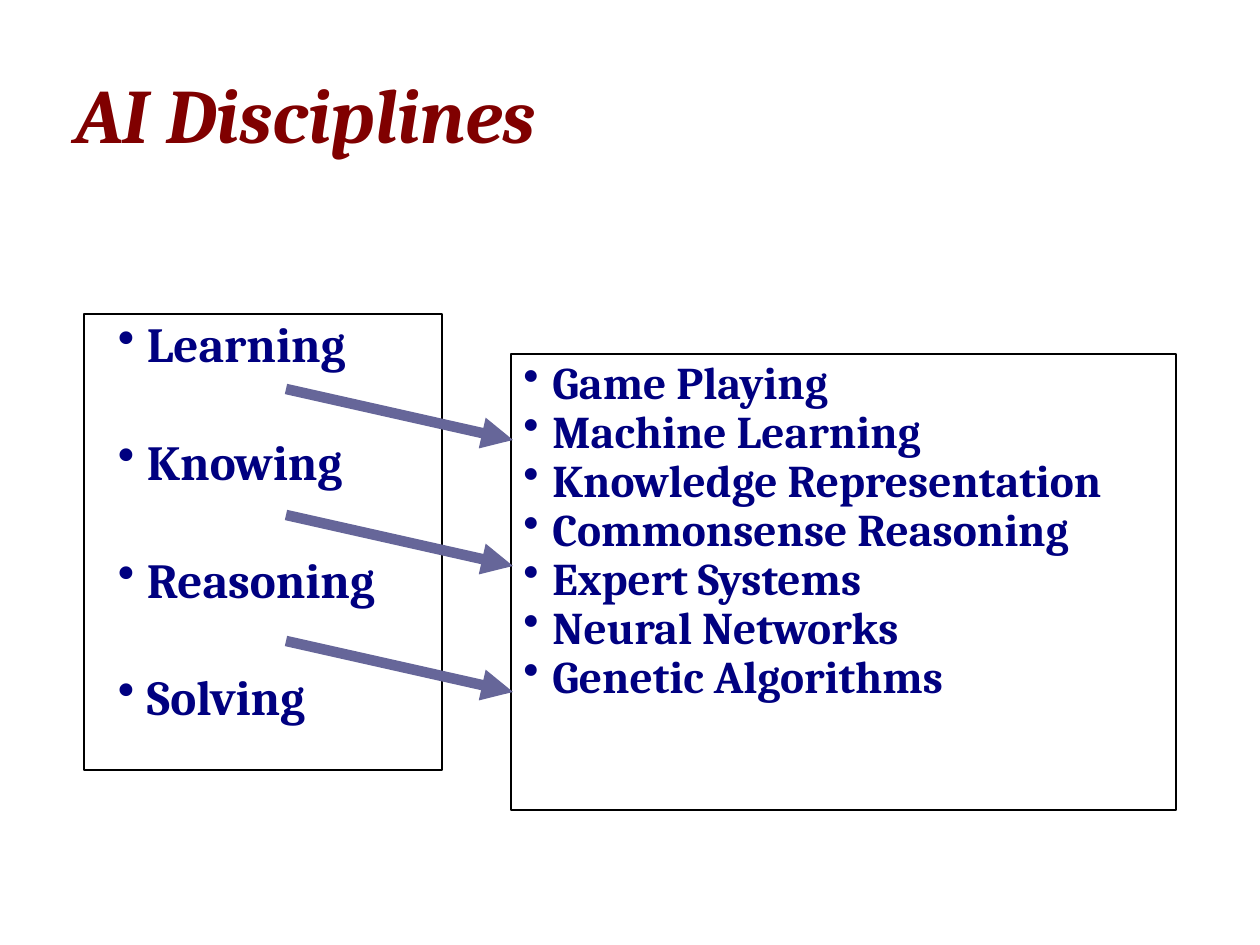
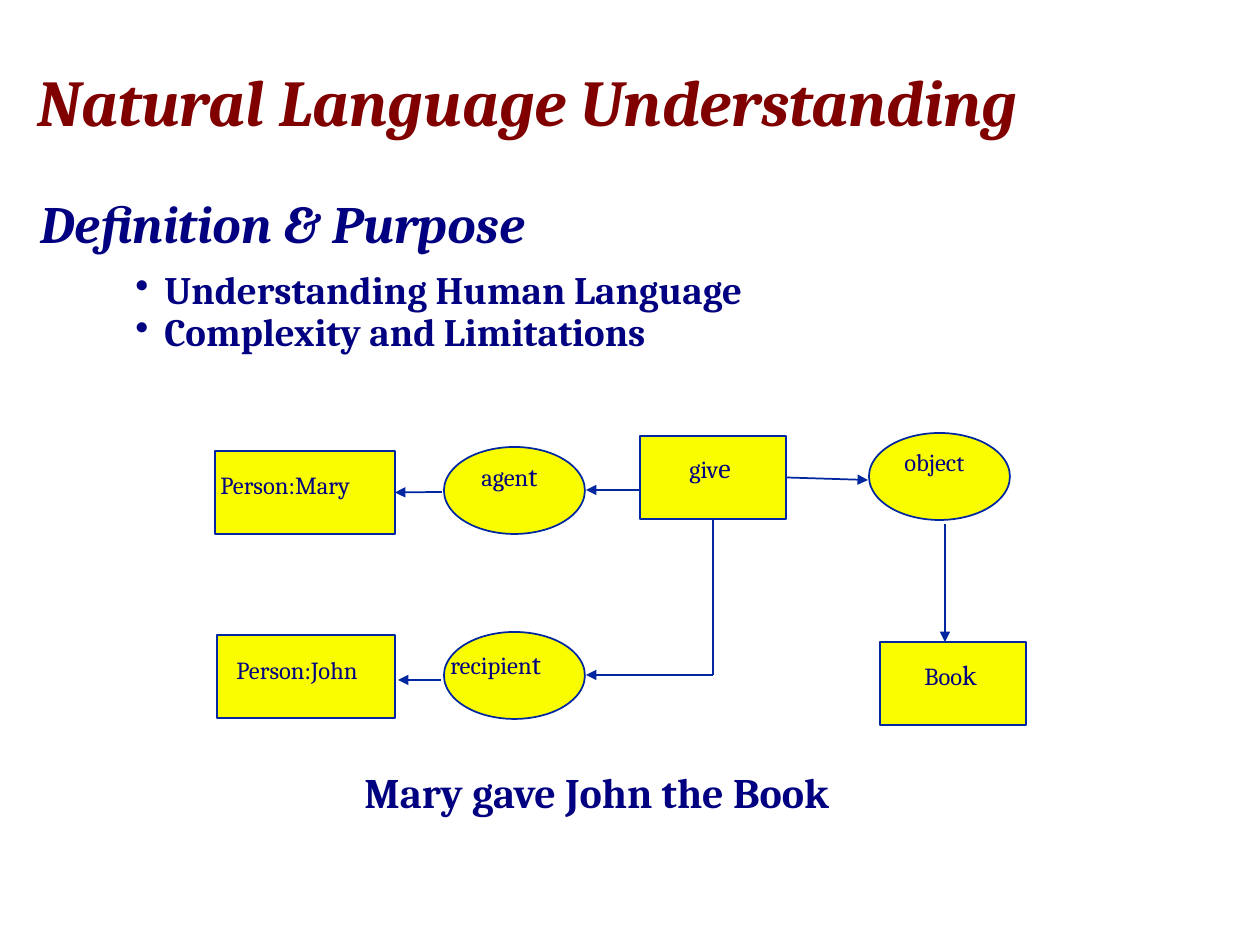
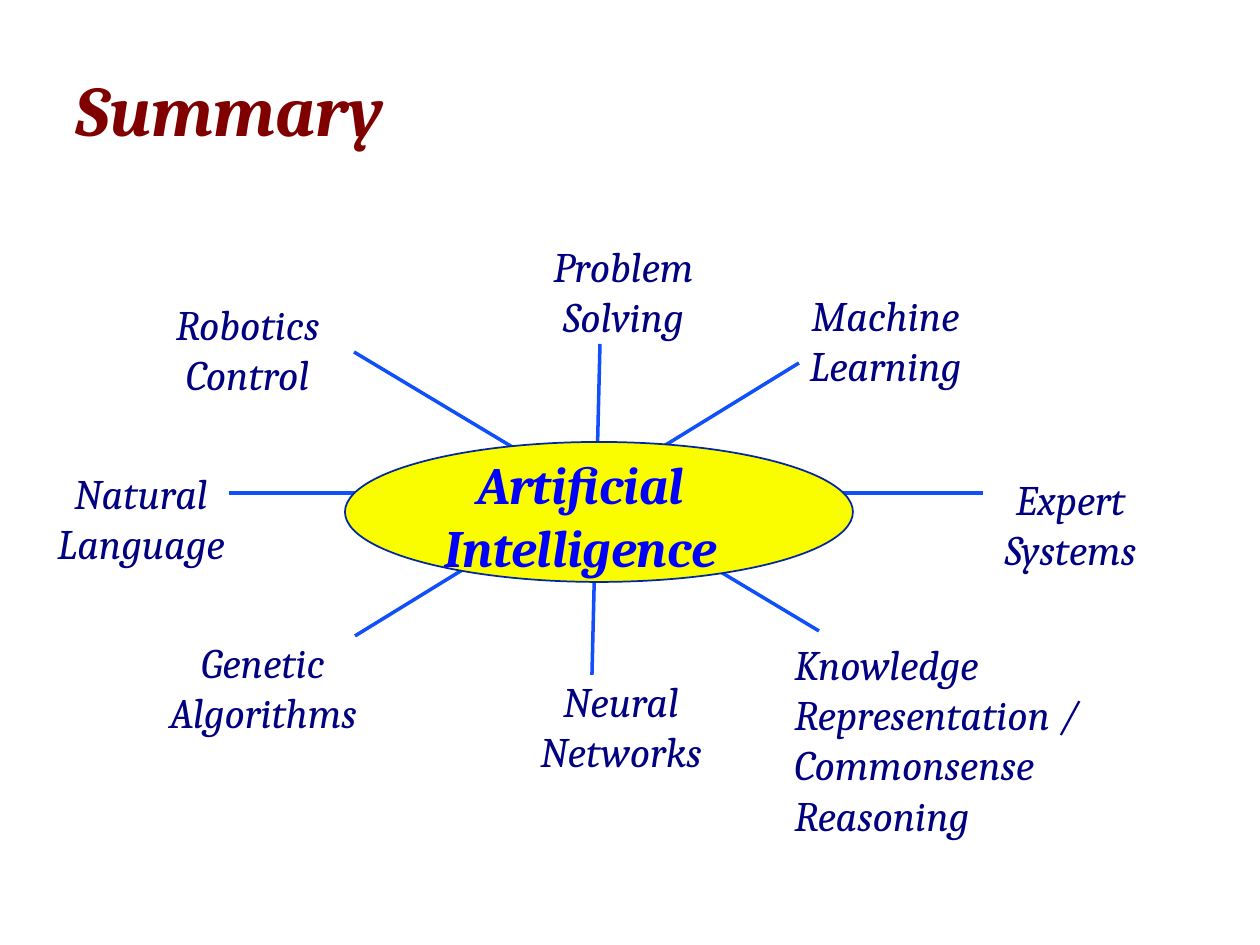
from lxml.etree import SubElement
from pptx import Presentation
from pptx.dml.color import RGBColor
from pptx.enum.shapes import MSO_CONNECTOR, MSO_SHAPE
from pptx.enum.text import MSO_ANCHOR as ANCHOR, MSO_AUTO_SIZE, PP_ALIGN as ALIGN
from pptx.oxml.ns import qn
from pptx.util import Inches, Pt

PX = 7257  # EMU per px, 126 px to the inch
FONT = "Cambria"
MAROON, NAVY, BLUE = "800000", "000080", "0000FF"
YELLOW, NODE_LINE, SPOKE = "FAFD00", "00279F", "114FFB"
HANG = 29
STRAIGHT = MSO_CONNECTOR.STRAIGHT
RECT, OVAL = MSO_SHAPE.RECTANGLE, MSO_SHAPE.OVAL


def write(s, lines, sizes, color=NAVY, bold=False, italic=False, align=ALIGN.LEFT,
          anchor=ANCHOR.TOP, leading=1.0, gap=0, bullet_left=None):
    """Fill s with paragraphs; a line is a string or a tuple of runs, one size each."""
    tf = s.text_frame
    tf.word_wrap = True
    tf.auto_size = MSO_AUTO_SIZE.NONE
    tf.vertical_anchor = anchor
    for i, line in enumerate(lines):
        p = tf.add_paragraph() if i else tf.paragraphs[0]
        p.alignment = align
        p.line_spacing = leading
        p.space_before = Pt(gap if i else 0)
        if bullet_left is not None:
            pPr = p._p.get_or_add_pPr()
            pPr.set("marL", str(bullet_left * PX))
            pPr.set("indent", str(-HANG * PX))
            SubElement(SubElement(pPr, qn("a:buClr")), qn("a:srgbClr"), val=color)
            SubElement(pPr, qn("a:buChar"), char="•")
        runs = (line,) if isinstance(line, str) else line
        for text, size in zip(runs, sizes):
            r = p.add_run()
            r.text = text
            r.font.name, r.font.size = FONT, Pt(size)
            r.font.bold, r.font.italic = bold, italic
            r.font.color.rgb = RGBColor.from_string(color)


def draw(s, color, width, fill=None, arrow=False):
    """Set the line of a shape or connector, and the fill of a shape, without shadow."""
    s.line.color.rgb = RGBColor.from_string(color)
    s.line.width = Pt(width)
    if fill:
        s.fill.solid()
        s.fill.fore_color.rgb = RGBColor.from_string(fill)
        s.shadow.inherit = False
    else:
        SubElement(s._element.spPr, qn("a:effectLst"))
    if arrow:
        SubElement(s.line._get_or_add_ln(), qn("a:tailEnd"), type="triangle")


prs = Presentation()
prs.slide_width, prs.slide_height = Inches(10), Inches(7.5)

# Slides and their titles
titles = [
    ("AI Disciplines", (63, 34, 1134, 158), 44, 1.0),
    ("Natural Language Understanding", (25, 26, 1197, 158), 37.4, 0.9),
    ("Summary", (63, 34, 388, 158), 40.7, 0.9),
]
canvases = []
for text, box, size, leading in titles:
    slide = prs.slides.add_slide(prs.slide_layouts[5])
    title = slide.shapes.title
    title.left, title.top, title.width, title.height = [v * PX for v in box]
    write(title, [text], [size], MAROON, bold=True, italic=True,
          anchor=ANCHOR.MIDDLE, leading=leading)
    canvases.append(slide.shapes)
disciplines, language, summary = canvases

# Slide 1: abilities lead to disciplines
abilities = disciplines.add_shape(RECT, *[v * PX for v in (84, 314, 358, 456)])
fields = disciplines.add_shape(RECT, *[v * PX for v in (511, 354, 665, 456)])
for s in (abilities, fields):
    draw(s, "000000", 0.75, "FFFFFF")
tf = abilities.text_frame
tf.margin_left = tf.margin_top = tf.margin_right = tf.margin_bottom = 0
write(abilities, ["Learning", "Knowing", "Reasoning", "Solving"], [28],
      bold=True, gap=33.6, bullet_left=63)
write(fields, ["Game Playing", "Machine Learning", "Knowledge Representation",
               "Commonsense Reasoning", "Expert Systems", "Neural Networks",
               "Genetic Algorithms"], [25.9], bold=True, leading=0.9, bullet_left=HANG)
for i in range(3):
    y = 389 + 126 * i
    arrow = disciplines.add_connector(
        STRAIGHT, *[v * PX for v in (286, y, 513, y + 51)])
    draw(arrow, "666699", 6, arrow=True)

# Slide 2: semantic network
heading = language.add_textbox(*[v * PX for v in (28, 185, 580, 76)])
write(heading, ["Definition & Purpose"], [30], bold=True, italic=True)
points = language.add_textbox(*[v * PX for v in (123, 265, 719, 134)])
write(points, ["Understanding Human Language", "Complexity and Limitations"], [22.2],
      bold=True, leading=0.9, bullet_left=HANG)

nodes = [
    (RECT, (215, 451, 180, 83), (208, 464, 175, 42), ("Person:Mary",)),
    (RECT, (217, 635, 178, 83), (224, 649, 180, 42), ("Person:John",)),
    (RECT, (880, 642, 146, 83), (912, 651, 86, 45), ("Boo", "k")),
    (RECT, (640, 436, 146, 83), (677, 444, 76, 45), ("giv", "e")),
    (OVAL, (444, 447, 141, 87), (469, 452, 91, 45), ("agen", "t")),
    (OVAL, (444, 632, 141, 87), (438, 640, 131, 45), ("recipien", "t")),
    (OVAL, (869, 433, 141, 87), (892, 441, 96, 42), ("object",)),
]
node_shapes = {}
for kind, box, label_box, runs in nodes:
    s = language.add_shape(kind, *[v * PX for v in box])
    draw(s, NODE_LINE, 1, YELLOW)
    node_shapes["".join(runs)] = s
    label = language.add_textbox(*[v * PX for v in label_box])
    write(label, [runs], (14, 16))

mary, give = node_shapes["Person:Mary"], node_shapes["give"]
# ends, arrowhead, (node, side) joined at the start, (node, side) joined at the end
links = [
    ((442, 492, 397, 492), True, None, (mary, 3)),
    ((640, 490, 586, 490), True, None, None),
    ((786, 480, 868, 480), True, (give, 3), None),
    ((945, 524, 945, 642), True, None, None),
    ((713, 523, 713, 675), False, (give, 2), None),
    ((713, 675, 586, 675), True, None, None),
    ((441, 680, 398, 680), True, None, None),
]
for ends, has_arrow, start, end in links:
    link = language.add_connector(STRAIGHT, *[v * PX for v in ends])
    if start:
        link.begin_connect(*start)
    if end:
        link.end_connect(*end)
    draw(link, NODE_LINE, 1, arrow=has_arrow)

caption = language.add_textbox(*[v * PX for v in (352, 760, 552, 63)])
write(caption, ["Mary gave John the Book"], [24], bold=True)

# Slide 3: fields around the hub
for ends in [(600, 344, 592, 675), (229, 493, 983, 493),
             (355, 636, 799, 363), (819, 631, 354, 352)]:
    draw(summary.add_connector(STRAIGHT, *[v * PX for v in ends]), SPOKE, 2)

hub = summary.add_shape(OVAL, *[v * PX for v in (345, 442, 508, 140)])
draw(hub, NODE_LINE, 1, YELLOW)
hub_label = summary.add_textbox(*[v * PX for v in (413, 446, 336, 139)])
write(hub_label, ["Artificial", "Intelligence"], [30], BLUE, bold=True, italic=True,
      align=ALIGN.CENTER)

topics = [
    ((529, 234, 189, 113), ["Problem", "Solving"], ALIGN.CENTER),
    ((784, 283, 203, 113), ["Machine", "Learning"], ALIGN.CENTER),
    ((782, 632, 410, 214), ["Knowledge Representation /", "Commonsense Reasoning"],
     ALIGN.LEFT),
    ((32, 461, 218, 113), ["Natural", "Language"], ALIGN.CENTER),
    ((151, 292, 193, 113), ["Robotics", "Control"], ALIGN.CENTER),
    ((979, 467, 183, 113), ["Expert", "Systems"], ALIGN.CENTER),
    ((514, 669, 214, 113), ["Neural", "Networks"], ALIGN.CENTER),
    ((141, 630, 244, 113), ["Genetic", "Algorithms"], ALIGN.CENTER),
]
for box, lines, align in topics:
    topic = summary.add_textbox(*[v * PX for v in box])
    write(topic, lines, [24], italic=True, align=align)

prs.save("out.pptx")
